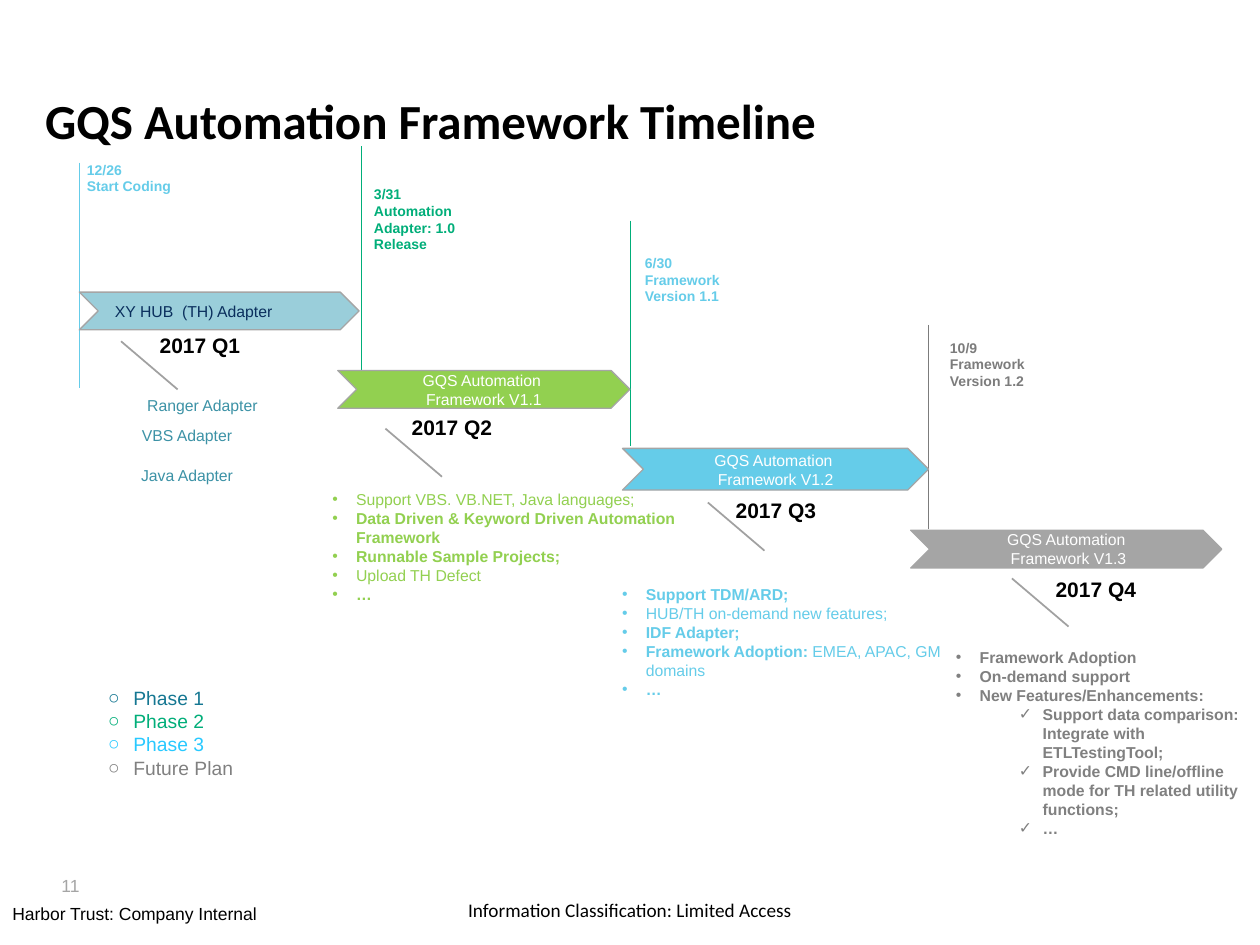
from dataclasses import dataclass

from lxml import etree
from pptx import Presentation
from pptx import util as u
from pptx.dml.color import RGBColor
from pptx.enum import shapes, text
from pptx.oxml.ns import qn


@dataclass(frozen=True)
class Theme:
    black: str = "000000"
    white: str = "FFFFFF"
    sky: str = "65CCE9"
    pale_teal: str = "9ACEDA"
    teal: str = "3C92A6"
    navy: str = "0A2F5D"
    green: str = "00AE79"
    lime: str = "92D050"
    silver: str = "A5A5A5"
    leader: str = "A1A1A1"
    grey: str = "808080"
    dark_grey: str = "7C7C7C"
    phase_teal: str = "157792"
    phase_blue: str = "28C9FF"
    label: int = 8
    body: int = 9
    small: int = 10
    legend: int = 11
    quarter: int = 12
    title: int = 28


theme = Theme()
LEFT, CENTER = text.PP_ALIGN.LEFT, text.PP_ALIGN.CENTER
TOP, MIDDLE, BOTTOM = text.MSO_ANCHOR.TOP, text.MSO_ANCHOR.MIDDLE, text.MSO_ANCHOR.BOTTOM
DEFAULT_INSETS = (0.25, 0.13, 0.25, 0.13)
TIGHT_INSETS = (0.25, 0, 0, 0)
BULLET = ("•", 0.48, -0.48)
CHECK = ("✓", 1.75, -0.48)
RING = ("○", 0.51, -0.58)

presentation = Presentation()
presentation.slide_width, presentation.slide_height = u.Cm(25.4), u.Cm(19.05)
slide = presentation.slides.add_slide(presentation.slide_layouts[5])


def write(shape, paragraphs, size, color, bold=False, font="Arial", align=LEFT,
          anchor=TOP, insets=DEFAULT_INSETS):
    """Fill a shape with (runs, bullet, color) paragraphs or plain strings; a run is (words, bold)."""
    frame = shape.text_frame
    sides = ("margin_left", "margin_top", "margin_right", "margin_bottom")
    settings = {side: u.Cm(inset) for side, inset in zip(sides, insets)}
    settings |= {"word_wrap": True, "vertical_anchor": anchor, "auto_size": text.MSO_AUTO_SIZE.NONE}
    for name, value in settings.items():
        setattr(frame, name, value)
    for index, item in enumerate(paragraphs):
        runs, bullet, tint = ([(item, bold)], None, color) if isinstance(item, str) else item
        paragraph = frame.add_paragraph() if index else frame.paragraphs[0]
        paragraph.alignment = align
        if bullet:
            mark, margin, indent = bullet
            paragraph.level = 1 if bullet == CHECK else 0
            properties = paragraph._p.get_or_add_pPr()
            properties.set("marL", str(u.Cm(margin)))
            properties.set("indent", str(u.Cm(indent)))
            etree.SubElement(properties, qn("a:buFont")).set("typeface", "Arial")
            etree.SubElement(properties, qn("a:buChar")).set("char", mark)
        for words, is_bold in runs:
            run = paragraph.add_run()
            run.text = words
            for name, value in {"name": font, "size": u.Pt(size), "bold": is_bold}.items():
                setattr(run.font, name, value)
            run.font.color.rgb = RGBColor.from_string(tint)


def add_line(x, y, dx, dy, color, width):
    """Draw a shadowless straight line from (x, y) by (dx, dy)."""
    line = slide.shapes.add_connector(
        shapes.MSO_CONNECTOR.STRAIGHT, u.Cm(x), u.Cm(y), u.Cm(x + dx), u.Cm(y + dy))
    line.line.color.rgb = RGBColor.from_string(color)
    line.line.width = u.Pt(width)
    etree.SubElement(line._element.spPr, qn("a:effectLst"))


title = slide.shapes.title
for name, value in {"left": 0.91, "top": 2.16, "width": 22.86, "height": 0.86}.items():
    setattr(title, name, u.Cm(value))
write(title, ["GQS Automation Framework Timeline"], theme.title, theme.black, True,
      "Calibri", insets=(0, 0, 0, 0))
title.text_frame.paragraphs[0].line_spacing = u.Pt(24)

# Milestone lines: x, top, height, color
for x, y, height, color in [
    (1.6, 3.28, 4.55, theme.sky),
    (7.29, 2.95, 4.55, theme.green),
    (12.7, 4.45, 4.55, theme.green),
    (18.72, 6.55, 4.11, theme.dark_grey),
]:
    add_line(x, y, 0, height, color, 0.25)

# Version arrows: box, fill, lines, text color, alignment
for box, fill, lines, color, align in [
    ((1.6, 5.89, 5.64, 0.76), theme.pale_teal, [" XY HUB  (TH) Adapter"], theme.navy, LEFT),
    ((6.81, 7.47, 5.89, 0.76), theme.lime, ["GQS Automation ", "Framework V1.1"], theme.white, CENTER),
    ((12.55, 9.04, 6.17, 0.84), theme.sky, ["GQS Automation ", "Framework V1.2"], theme.white, CENTER),
    ((18.36, 10.69, 6.27, 0.76), theme.silver, ["GQS Automation", " Framework V1.3"], theme.white, CENTER),
]:
    arrow = slide.shapes.add_shape(shapes.MSO_SHAPE.CHEVRON, *map(u.Cm, box))
    arrow.adjustments[0] = 0.5
    arrow.shadow.inherit = False
    arrow.fill.solid()
    arrow.fill.fore_color.rgb = RGBColor.from_string(fill)
    arrow.line.color.rgb = RGBColor.from_string(theme.silver)
    arrow.line.width = u.Pt(0.75)
    write(arrow, lines, theme.body, color, align=align, anchor=MIDDLE)

for x, y in [(2.44, 6.88), (7.77, 8.64), (14.27, 10.13), (20.4, 11.66)]:
    add_line(x, y, 1.14, 0.97, theme.leader, 1)

label = {"size": theme.label, "bold": True}
body = {"size": theme.body}
quarter = {"size": theme.quarter, "color": theme.black, "bold": True, "insets": TIGHT_INSETS}
adapter = body | {"color": theme.teal, "align": CENTER}

blocks = [
    ((1.5, 3.12, 3.28, 0.94), ["12/26", "Start Coding"], label | {"color": theme.sky}),
    ((7.29, 3.61, 2.84, 1.63), ["3/31", "Automation Adapter: 1.0 Release"],
     label | {"color": theme.green}),
    ((12.75, 5, 2.77, 1.27), ["6/30", "Framework Version 1.1"], label | {"color": theme.sky}),
    ((18.9, 6.71, 2.59, 1.27), ["10/9", "Framework Version 1.2"],
     label | {"color": theme.dark_grey, "anchor": BOTTOM}),
    ((1.68, 7.85, 4.8, 0.64), ["Ranger Adapter"], adapter),
    ((1.37, 8.46, 4.8, 0.64), ["VBS Adapter"], adapter),
    ((1.37, 9.25, 4.8, 0.64), ["Java Adapter"], adapter),
    ((0, 17.98, 25.4, 0.74), ["Information Classification: Limited Access"],
     {"size": theme.legend, "color": theme.black, "font": "Calibri", "align": CENTER}),
    ((0, 18.08, 25.4, 0.69), ["Harbor Trust: Company Internal"],
     {"size": theme.small, "color": theme.black}),
    ((1.24, 17.5, 1.27, 0.69), ["11"],
     {"size": theme.small, "color": theme.silver, "anchor": MIDDLE, "insets": (0, 0, 0, 0)}),
]

quarter_corners = [(2.97, 6.71), (8.05, 8.36), (14.58, 10.03), (21.03, 11.63)]
for number, (x, y) in enumerate(quarter_corners, start=1):
    blocks.append(((x, y, 2.77, 0.51), [f"2017 Q{number}"], quarter))

phases = [("Phase 1", theme.phase_teal), ("Phase 2", theme.green),
          ("Phase 3", theme.phase_blue), ("Future Plan", theme.grey)]
blocks.append(((1.93, 13.84, 5.82, 2.24),
               [([(name, False)], RING, color) for name, color in phases],
               {"size": theme.legend, "color": theme.grey, "insets": TIGHT_INSETS}))

# Feature lists: box, color, items of (bullet, runs)
for box, color, items in [
    ((6.45, 9.75, 8.13, 2.57), theme.lime, [
        (BULLET, [("Support VBS. VB.NET, Java languages;", False)]),
        (BULLET, [("Data Driven & Keyword Driven Automation Framework", True)]),
        (BULLET, [("Runnable Sample Projects;", True)]),
        (BULLET, [("Upload TH Defect", False)]),
        (BULLET, [("…", True)])]),
    ((12.29, 11.66, 8.13, 2.57), theme.sky, [
        (BULLET, [("Support TDM/ARD;", True)]),
        (BULLET, [("HUB/TH on-demand new features;", False)]),
        (BULLET, [("IDF Adapter;", True)]),
        (BULLET, [("Framework Adoption:", True), (" EMEA, APAC, GM domains", False)]),
        (BULLET, [("…", True)])]),
    ((19.02, 12.93, 6.5, 4.5), theme.grey, [
        (BULLET, [("Framework Adoption", True)]),
        (BULLET, [("On-demand support", True)]),
        (BULLET, [("New Features/Enhancements:", True)]),
        (CHECK, [("Support data comparison: Integrate with ETLTestingTool;", True)]),
        (CHECK, [("Provide CMD line/offline mode for TH related utility functions;", True)]),
        (CHECK, [("…", True)])]),
]:
    blocks.append((box, [(runs, bullet, color) for bullet, runs in items], body | {"color": color}))

for box, paragraphs, style in blocks:
    write(slide.shapes.add_textbox(*map(u.Cm, box)), paragraphs, **style)

presentation.save("out.pptx")
